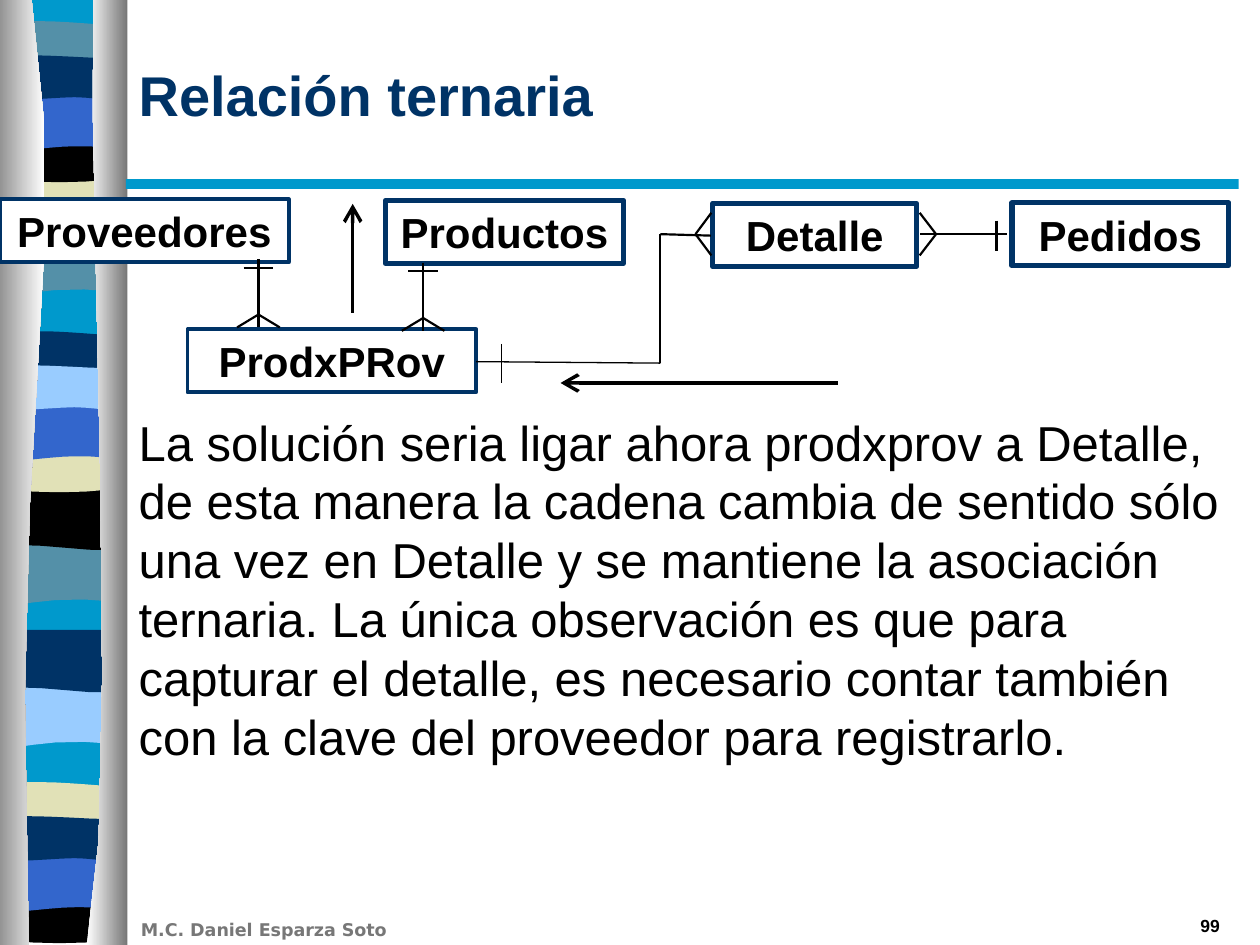
"""Build the slide on the ternary relation between suppliers, products and orders."""
from dataclasses import dataclass
from math import comb

from lxml import etree
from pptx import Presentation
from pptx.dml.color import RGBColor
from pptx.enum.shapes import MSO_CONNECTOR, MSO_SHAPE
from pptx.enum.text import MSO_ANCHOR, PP_ALIGN
from pptx.oxml.ns import qn
from pptx.util import Cm, Pt

LEFT, CENTER, RIGHT = PP_ALIGN.LEFT, PP_ALIGN.CENTER, PP_ALIGN.RIGHT
TOP, MIDDLE = MSO_ANCHOR.TOP, MSO_ANCHOR.MIDDLE
RECTANGLE, STRAIGHT = MSO_SHAPE.RECTANGLE, MSO_CONNECTOR.STRAIGHT


@dataclass(frozen=True)
class Theme:
    navy: str = "003366"
    cyan: str = "0099CC"
    teal: str = "5490A8"
    blue: str = "3366CC"
    sky: str = "99CCFF"
    sand: str = "E1E1B7"
    black: str = "000000"
    white: str = "FFFFFF"
    gray: str = "767676"
    footer_gray: str = "777777"
    font: str = "Arial"
    footer_font: str = "DejaVu Sans"
    title_size: int = 32
    body_size: int = 28
    entity_size: int = 24
    footer_size: int = 10


theme = Theme()
presentation = Presentation()
presentation.slide_width, presentation.slide_height = Cm(25.4), Cm(19.05)
slide = presentation.slides.add_slide(presentation.slide_layouts[1])


def add_outline(edges, offset=0):
    points = []
    for controls in edges:
        degree = len(controls) - 1
        steps = 6 if degree > 1 else 1
        for t in (step / steps for step in range(steps + 1)):
            weights = [comb(degree, i) * t ** i * (1 - t) ** (degree - i) for i in range(degree + 1)]
            x, y = (sum(w * c[axis] for w, c in zip(weights, controls)) for axis in (0, 1))
            point = Cm(x), Cm(y + offset)
            if point not in points:
                points.append(point)
    builder = slide.shapes.build_freeform(*points[0])
    builder.add_line_segments(points[1:])
    outline = builder.convert_to_shape()
    outline.line.fill.background()
    outline.shadow.inherit = False
    return outline


def add_segment(x1, y1, x2, y2, width=1.25, arrow=False):
    segment = slide.shapes.add_connector(STRAIGHT, Cm(x1), Cm(y1), Cm(x2), Cm(y2))
    segment.line.color.rgb = RGBColor.from_string(theme.black)
    segment.line.width = Pt(width)
    if arrow:
        etree.SubElement(segment.line._get_or_add_ln(), qn("a:tailEnd"), type="arrow", w="lg", len="lg")
    etree.SubElement(segment._element.spPr, qn("a:effectLst"))


ribbon = add_outline([[(2.49, 0), (2.49, 18.97)], [(-0.13, 18.97), (-0.13, 0)]])
ribbon.fill.solid()
ribbon.fill.fore_color.rgb = RGBColor.from_string(theme.cyan)

band_edges = [
    [[(2.49, 5.89), (0.69, 5.69), (0.33, 6.1), (-0.13, 5.89)], [(-0.13, 4.7), (2.49, 4.7)]],
    [[(2.49, 4.78), (2.06, 4.98), (0.69, 4.62), (-0.1, 4.78)], [(-0.1, 3.58), (2.49, 3.58)]],
    [[(2.49, 1.14), (2.06, 1.27), (0.33, 1.27), (-0.13, 1.14)],
     [(-0.13, 0.53), (0.05, 0.41), (0.46, 0.43), (0.89, 0.43)],
     [(0.89, 0.43), (1.32, 0.43), (2.16, 0.51), (2.49, 0.53)]],
    [[(2.49, 3.56), (2.06, 3.71), (0.33, 3.71), (-0.1, 3.56)],
     [(-0.1, 2.74), (1.5, 2.87), (1.96, 2.74), (2.49, 2.74)]],
    [[(2.49, 3.07), (2.08, 2.95), (1.93, 2.95), (1.5, 2.95)],
     [(1.5, 2.95), (1.07, 2.95), (0.28, 3.07), (-0.1, 3.07)],
     [(-0.1, 1.88), (2.49, 1.88)]],
    [[(2.49, 1.96), (2.34, 2.08), (1.93, 1.96), (1.5, 1.96)],
     [(1.5, 1.96), (1.07, 1.96), (0.15, 2.08), (-0.13, 1.96)],
     [(-0.13, 1.17), (0.25, 1.04), (1.65, 1.17), (2.08, 1.17)],
     [(2.08, 1.17), (2.49, 1.17)]],
]
ribbon_repeats = [
    ([0] * 6, [theme.teal, theme.sand, theme.teal, theme.black, theme.blue, theme.navy]),
    ([6.25] * 6, [theme.teal, theme.black, theme.navy, theme.sand, theme.blue, theme.sky]),
    ([9.12] * 2 + [15.34] * 4,
     [theme.sky, theme.navy, theme.sand, theme.black, theme.blue, theme.navy]),
]
for offsets, colors in ribbon_repeats:
    for edges, offset, color in zip(band_edges, offsets, colors):
        band = add_outline(edges, offset)
        band.fill.solid()
        band.fill.fore_color.rgb = RGBColor.from_string(color)

pillars = [
    (-0.25, [(0.64, 0), (1.47, 5.49), (0.18, 7.52), (0.58, 19.05)], theme.gray, theme.white),
    (2.57, [(1.88, 0), (1.75, 3.18), (2.44, 16.41), (1.75, 19.05)], theme.white, theme.gray),
]
for outer_x, inner_edge, *shades in pillars:
    pillar = add_outline([inner_edge, [(outer_x, 19.05), (outer_x, 0)]])
    pillar.fill.gradient()
    pillar.fill.gradient_angle = 0
    for stop, shade in zip(pillar.fill.gradient_stops, shades):
        stop.color.rgb = RGBColor.from_string(shade)

title_rule = slide.shapes.add_shape(RECTANGLE, Cm(2.54), Cm(3.61), Cm(22.43), Cm(0.2))
title_rule.fill.solid()
title_rule.fill.fore_color.rgb = RGBColor.from_string(theme.cyan)
title_rule.line.fill.background()
title_rule.shadow.inherit = False

heading, explanation = slide.placeholders
heading.left, heading.top, heading.width, heading.height = Cm(2.54), Cm(0.3), Cm(22.3), Cm(3.18)
explanation.left, explanation.top = Cm(2.54), Cm(8.18)
explanation.width, explanation.height = Cm(22.3), Cm(9.3)
author = slide.shapes.add_textbox(Cm(2.59), Cm(18.4), Cm(7.19), Cm(0.69))
page_number = slide.shapes.add_textbox(Cm(19.56), Cm(18.32), Cm(5.28), Cm(0.66))

texts = [
    (heading, "Relación ternaria", theme.title_size, theme.font, theme.navy, True, LEFT, MIDDLE),
    (explanation,
     "La solución seria ligar ahora prodxprov a Detalle, de esta manera la cadena cambia de "
     "sentido sólo una vez en Detalle y se mantiene la asociación ternaria. La única observación "
     "es que para capturar el detalle, es necesario contar también con la clave del proveedor "
     "para registrarlo.",
     theme.body_size, theme.font, theme.black, False, LEFT, TOP),
    (author, "M.C. Daniel Esparza Soto", theme.footer_size, theme.footer_font, theme.footer_gray,
     True, LEFT, TOP),
    (page_number, "99", theme.footer_size, theme.font, theme.black, True, RIGHT, TOP),
]

entities = [
    ("Productos", 7.77, 4.04, 4.8, 3),
    ("Proveedores", 0, 4.02, 5.82, 2.25),
    ("Pedidos", 20.4, 4.09, 4.37, 3),
    ("Detalle", 14.37, 4.1, 4.11, 3),
    ("ProdxPRov", 3.78, 6.64, 5.82, 2.25),
]
for name, left, top, width, border in entities:
    entity = slide.shapes.add_shape(RECTANGLE, Cm(left), Cm(top), Cm(width), Cm(1.27))
    entity.fill.solid()
    entity.fill.fore_color.rgb = RGBColor.from_string(theme.white)
    entity.line.color.rgb = RGBColor.from_string(theme.navy)
    entity.line.width = Pt(border)
    entity.shadow.inherit = False
    texts.append((entity, name, theme.entity_size, theme.font, theme.black, True, CENTER, MIDDLE))

for holder, wording, size, font, color, bold, alignment, anchor in texts:
    frame = holder.text_frame
    frame.text = wording
    frame.word_wrap = True
    frame.vertical_anchor = anchor
    paragraph = frame.paragraphs[0]
    paragraph.alignment = alignment
    paragraph.space_before = Pt(0)
    letters = paragraph.runs[0].font
    letters.size, letters.name, letters.bold = Pt(size), font, bold
    letters.color.rgb = RGBColor.from_string(color)

explanation_paragraph = explanation.text_frame.paragraphs[0]
explanation_paragraph.line_spacing = 1.0
explanation_format = explanation_paragraph._p.get_or_add_pPr()
explanation_format.set("marL", "0")
explanation_format.set("indent", "0")
etree.SubElement(explanation_format, qn("a:buNone"))

for x, top in ((5.21, 5.23), (8.53, 5.3)):
    add_segment(x, top, x, top + 1.37)
    add_segment(x - 0.3, top + 0.17, x + 0.3, top + 0.17)
    for side in (-0.43, 0.43):
        add_segment(x, top + 1.11, x + side, top + 1.37)

for apex_x, detail_x in ((14.02, 14.34), (18.87, 18.54)):
    for side in (-0.43, 0.43):
        add_segment(apex_x, 4.72, detail_x, 4.72 + side)

add_segment(13.31, 4.72, 14.33, 4.75)
add_segment(13.31, 4.72, 13.31, 7.32)
add_segment(20.29, 4.72, 18.54, 4.72)
add_segment(20.09, 4.45, 20.09, 5.05)
add_segment(13.31, 7.32, 9.6, 7.29, 0.75)
add_segment(10.11, 6.93, 10.11, 7.72, 0.75)
add_segment(16.89, 7.72, 11.3, 7.72, 2, True)
add_segment(7.11, 6.3, 7.11, 4.11, 2, True)

presentation.save("out.pptx")
